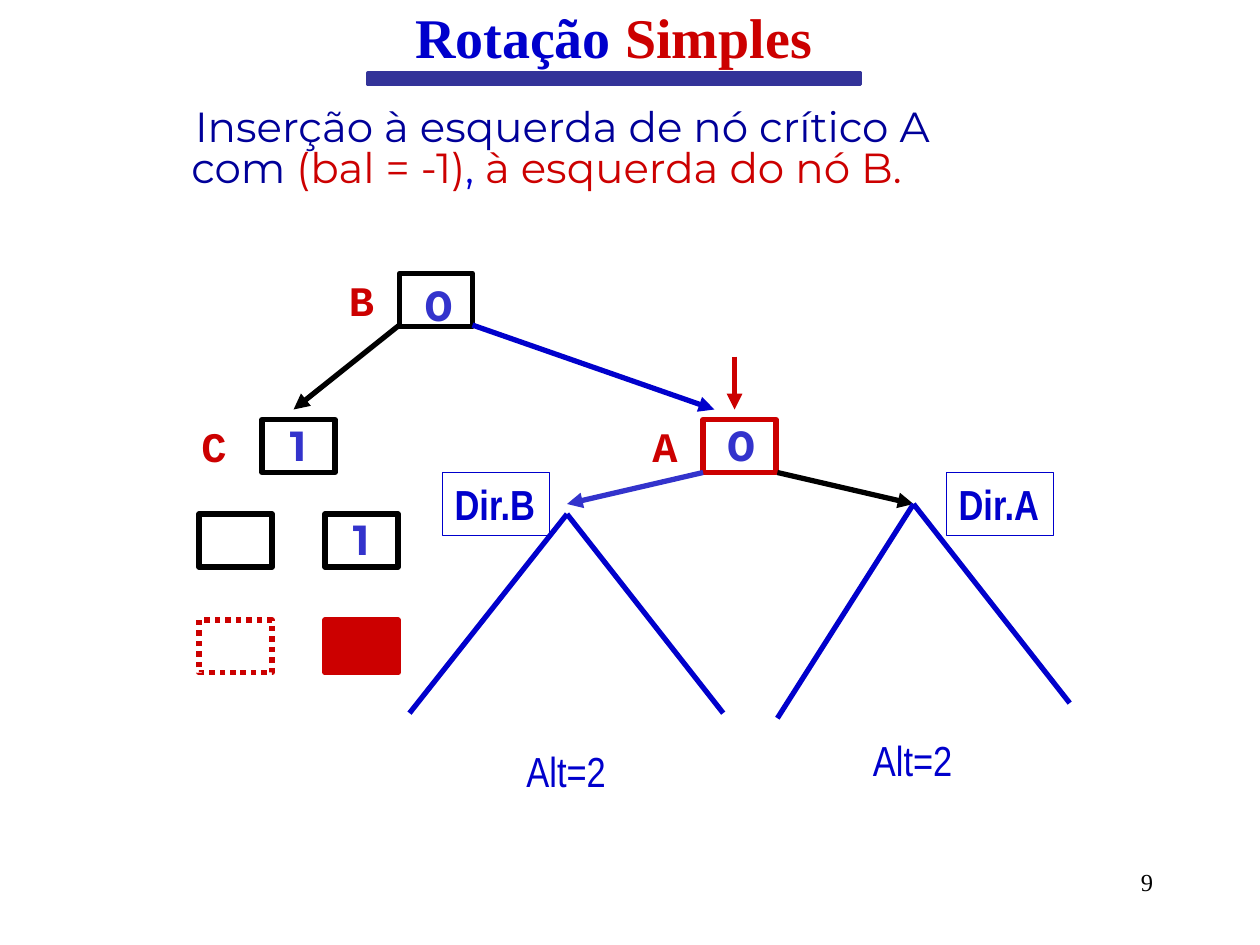
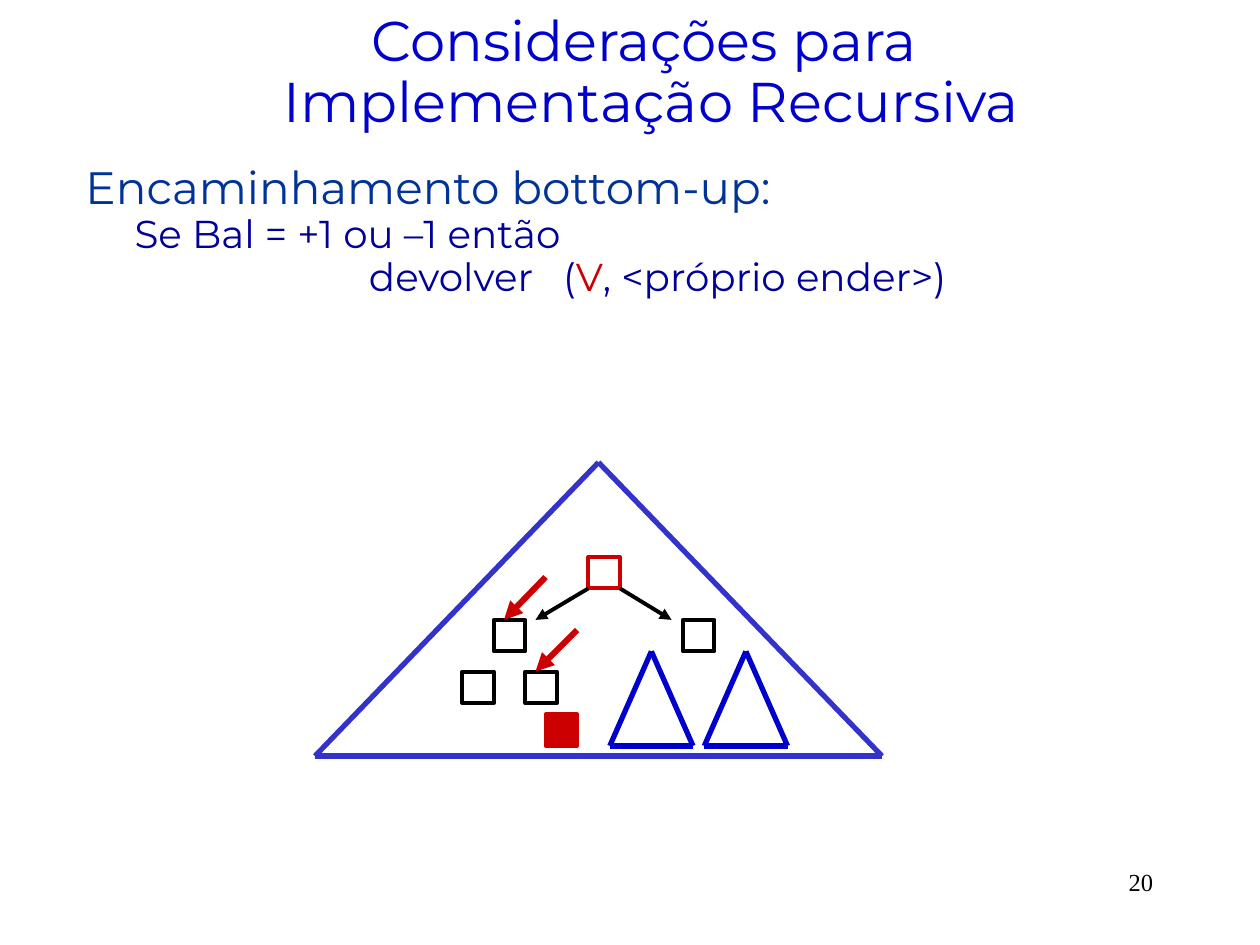
import pptx
import pptx.dml.color
import pptx.enum.dml
import pptx.enum.shapes
import pptx.enum.text
import pptx.oxml
import pptx.oxml.ns
import pptx.util

Inches = pptx.util.Inches
ALIGN = pptx.enum.text.PP_ALIGN

BLUE, RED, BLACK = "0000CC", "CC0000", "000000"
NAVY, INDIGO, BAR, HEADING = "000099", "3333CC", "333399", "003399"

TITLE = {"size": 32, "name": "Times New Roman", "bold": True}
PLAIN_TITLE = {"size": 32, "name": "Montserrat", "bold": False}
NUMBER = {"size": 14, "name": "Times New Roman"}
BODY = {"size": 24, "name": "Montserrat"}
BALANCE = {"size": 24, "name": "Montserrat", "bold": True}
LETTER = {"size": 24, "name": "Courier New", "bold": True}
SIDE = {"size": 24, "name": "Arial Narrow", "bold": True}
HEIGHT = {"size": 24, "name": "Arial Narrow"}

ROTATION_TITLE = [("Rotação ", BLUE), ("Simples", RED)]
ROTATION_BODY = [
    {"runs": [("Inserção à esquerda de nó crítico A", NAVY)], "font": BODY,
     "line": 0.8, "indent": 0.37},
    {"runs": [("com ", NAVY), ("(bal = -1)", RED), (",", BLUE),
              (" à esquerda do nó B.", RED)], "font": BODY,
     "line": 0.8, "indent": 0.34},
]
NODE_SIZE = (0.58, 0.42)
NODES = [
    (3.17, 2.17, BLACK, {}),
    (2.08, 3.33, BLACK, {}),
    (5.58, 3.33, RED, {}),
    (1.58, 4.08, BLACK, {}),
    (2.58, 4.08, BLACK, {}),
    (1.58, 4.92, RED, {"dashed": True}),
    (2.58, 4.92, RED, {"fill": RED}),
]
LETTERS = [("B", 2.67, 2.13), ("C", 1.5, 3.29), ("A", 5.08, 3.29)]
BALANCES = [("0", 3.27, 2.17), ("1", 2.17, 3.28), ("0", 5.67, 3.28), ("1", 2.67, 4.03)]
SIDES = [("Dir.B", 3.51), ("Dir.A", 7.51)]
HEIGHTS = [("Alt=2", 4.08, 5.87), ("Alt=2", 6.83, 5.78)]
ROTATION_ARROWS = [
    ((3.17, 2.58), (2.33, 3.25), BLACK),
    ((3.75, 2.58), (5.67, 3.25), BLUE),
    ((5.83, 2.83), (5.83, 3.25), RED),
    ((5.58, 3.75), (4.5, 4), INDIGO),
    ((6.17, 3.75), (7.25, 4), BLACK),
]
SUBTREES = [
    ((3.25, 5.66), (4.5, 4.08), (5.74, 5.66)),
    ((6.17, 5.7), (7.25, 4), (8.49, 5.58)),
]

RECURSION_TITLE = [("Considerações para \vImplementação Recursiva", BLUE)]
RECURSION_BODY = [
    {"runs": [("Encaminhamento bottom-up:", HEADING)],
     "font": {**BODY, "size": 25.9}, "line": 0.7},
    {"runs": [("Se Bal = +1 ou –1 então", NAVY)],
     "font": {**BODY, "size": 22.2}, "line": 0.7, "before": 6, "indent": 0.39},
    {"runs": [("\tdevolver\t(", NAVY), ("V", RED), (", <próprio ender>)", NAVY)],
     "font": {**BODY, "size": 22.2}, "line": 0.7, "before": 6, "tabs": (2.25, 3.79)},
]
SMALL_NODES = [
    (4.67, 4.42, RED, None),
    (3.92, 4.92, BLACK, None),
    (5.42, 4.92, BLACK, None),
    (3.67, 5.33, BLACK, None),
    (4.17, 5.33, BLACK, None),
    (4.33, 5.67, RED, RED),
]
TRIANGLES = [
    ((4.75, 3.67), 2.25, 2.33, INDIGO),
    ((5.17, 5.17), 0.33, 0.75, BLUE),
    ((5.92, 5.17), 0.33, 0.75, BLUE),
]
RECURSION_ARROWS = [
    ((4.67, 4.67), (4.25, 4.92), BLACK, 2.25),
    ((4.92, 4.67), (5.33, 4.92), BLACK, 2.25),
    ((4.33, 4.58), (4, 4.92), RED, 3.5),
    ((4.58, 5), (4.25, 5.33), RED, 3.5),
]


def color(hex_value):
    return pptx.dml.color.RGBColor.from_string(hex_value)


def set_values(target, values):
    for name, value in values.items():
        setattr(target, name, value)


def add_child(parent, tag, **attributes):
    element = parent.makeelement(pptx.oxml.ns.qn(tag), attributes)
    parent.append(element)
    return element


def add_runs(paragraph, runs, font):
    for text, hex_value in runs:
        for index, part in enumerate(text.split("\v")):
            if index:
                paragraph.add_line_break()
            run = paragraph.add_run()
            run.text = part
            set_values(run.font, {**font, "size": pptx.util.Pt(font["size"])})
            run.font.color.rgb = color(hex_value)


def add_text(slide, at, runs, font, align=ALIGN.LEFT, wrap=True):
    shape = slide.shapes.add_textbox(*map(Inches, at))
    shape.text_frame.word_wrap = wrap
    paragraph = shape.text_frame.paragraphs[0]
    paragraph.alignment = align
    add_runs(paragraph, runs, font)
    return shape


def add_body(slide, at, paragraphs):
    frame = slide.shapes.add_textbox(*map(Inches, at)).text_frame
    frame.word_wrap = True
    for index, item in enumerate(paragraphs):
        paragraph = frame.add_paragraph() if index else frame.paragraphs[0]
        paragraph.line_spacing = item["line"]
        if "before" in item:
            paragraph.space_before = pptx.util.Pt(item["before"])
        properties = paragraph._p.get_or_add_pPr()
        properties.set("marL", str(Inches(item.get("indent", 0))))
        if "tabs" in item:
            tab_list = add_child(properties, "a:tabLst")
            for position in item["tabs"]:
                add_child(tab_list, "a:tab", pos=str(Inches(position)), algn="l")
        add_runs(paragraph, item["runs"], item["font"])


def add_box(slide, at, line, width, fill=None, dashed=False):
    shape = slide.shapes.add_shape(
        pptx.enum.shapes.MSO_SHAPE.RECTANGLE, *map(Inches, at))
    shape.shadow.inherit = False
    if fill:
        shape.fill.solid()
        shape.fill.fore_color.rgb = color(fill)
    else:
        shape.fill.background()
    shape.line.color.rgb = color(line)
    shape.line.width = pptx.util.Pt(width)
    if dashed:
        shape.line.dash_style = pptx.enum.dml.MSO_LINE.ROUND_DOT
    return shape


def add_line(slide, start, end, hex_value, width=3, arrow=False):
    connector = slide.shapes.add_connector(
        pptx.enum.shapes.MSO_CONNECTOR.STRAIGHT, *map(Inches, start + end))
    connector.line.color.rgb = color(hex_value)
    connector.line.width = pptx.util.Pt(width)
    if arrow:
        add_child(connector.line._get_or_add_ln(), "a:tailEnd", type="triangle")
    add_child(connector._element.spPr, "a:effectLst")


def add_slide(presentation, number, title_at, runs, font, line_spacing=1.0):
    slide = presentation.slides.add_slide(presentation.slide_layouts[5])
    title = slide.shapes.title
    set_values(title, dict(zip(("left", "top", "width", "height"), map(Inches, title_at))))
    set_values(title.text_frame, {
        "auto_size": pptx.enum.text.MSO_AUTO_SIZE.NONE,
        "vertical_anchor": pptx.enum.text.MSO_ANCHOR.MIDDLE,
        "word_wrap": True,
    })
    paragraph = title.text_frame.paragraphs[0]
    set_values(paragraph, {"alignment": ALIGN.CENTER, "line_spacing": line_spacing})
    add_runs(paragraph, runs, font)
    add_text(slide, (7.17, 6.83, 2.08, 0.5), [(number, BLACK)], NUMBER, ALIGN.RIGHT)
    return slide


def build_rotation(presentation):
    slide = add_slide(presentation, "9", (1.58, 0, 6.58, 0.58), ROTATION_TITLE, TITLE)
    add_box(slide, (2.92, 0.58, 3.91, 0.09), BAR, 2, BAR)
    add_body(slide, (1.08, 0.83, 7.42, 0.83), ROTATION_BODY)
    for left, top, line, style in NODES:
        add_box(slide, (left, top, *NODE_SIZE), line, 3, **style)
    for start, end, hex_value in ROTATION_ARROWS:
        add_line(slide, start, end, hex_value, arrow=True)
    for left_foot, apex, right_foot in SUBTREES:
        add_line(slide, apex, left_foot, BLUE)
        add_line(slide, apex, right_foot, BLUE)
    for text, left, top in LETTERS:
        add_text(slide, (left, top, 0.5, 0.5), [(text, RED)], LETTER)
    for text, left, top in BALANCES:
        add_text(slide, (left, top, 0.39, 0.5), [(text, INDIGO)], BALANCE,
                 ALIGN.CENTER, wrap=False)
    for text, left in SIDES:
        label = add_text(slide, (left, 3.75, 0.85, 0.5), [(text, BLUE)], SIDE, wrap=False)
        label.line.color.rgb = color(BLUE)
        label.line.width = pptx.util.Pt(0.75)
    for text, left, top in HEIGHTS:
        add_text(slide, (left, top, 0.92, 0.5), [(text, BLUE)], HEIGHT)


def build_recursion(presentation):
    slide = add_slide(presentation, "20", (1.42, 0, 7.5, 1.17),
                      RECURSION_TITLE, PLAIN_TITLE, 0.9)
    add_body(slide, (0.58, 1.33, 8.92, 1.42), RECURSION_BODY)
    for left, top, line, fill in SMALL_NODES:
        add_box(slide, (left, top, 0.25, 0.25), line, 2.25, fill)
    for apex, half_width, height, hex_value in TRIANGLES:
        x, y = apex
        left_foot, right_foot = (x - half_width, y + height), (x + half_width, y + height)
        for start, end in ((apex, left_foot), (apex, right_foot), (left_foot, right_foot)):
            add_line(slide, start, end, hex_value)
    for start, end, hex_value, width in RECURSION_ARROWS:
        add_line(slide, start, end, hex_value, width, arrow=True)


def main():
    presentation = pptx.Presentation()
    presentation.slide_width = Inches(10)
    presentation.slide_height = Inches(7.5)
    build_rotation(presentation)
    build_recursion(presentation)
    presentation.save("out.pptx")


if __name__ == "__main__":
    main()
